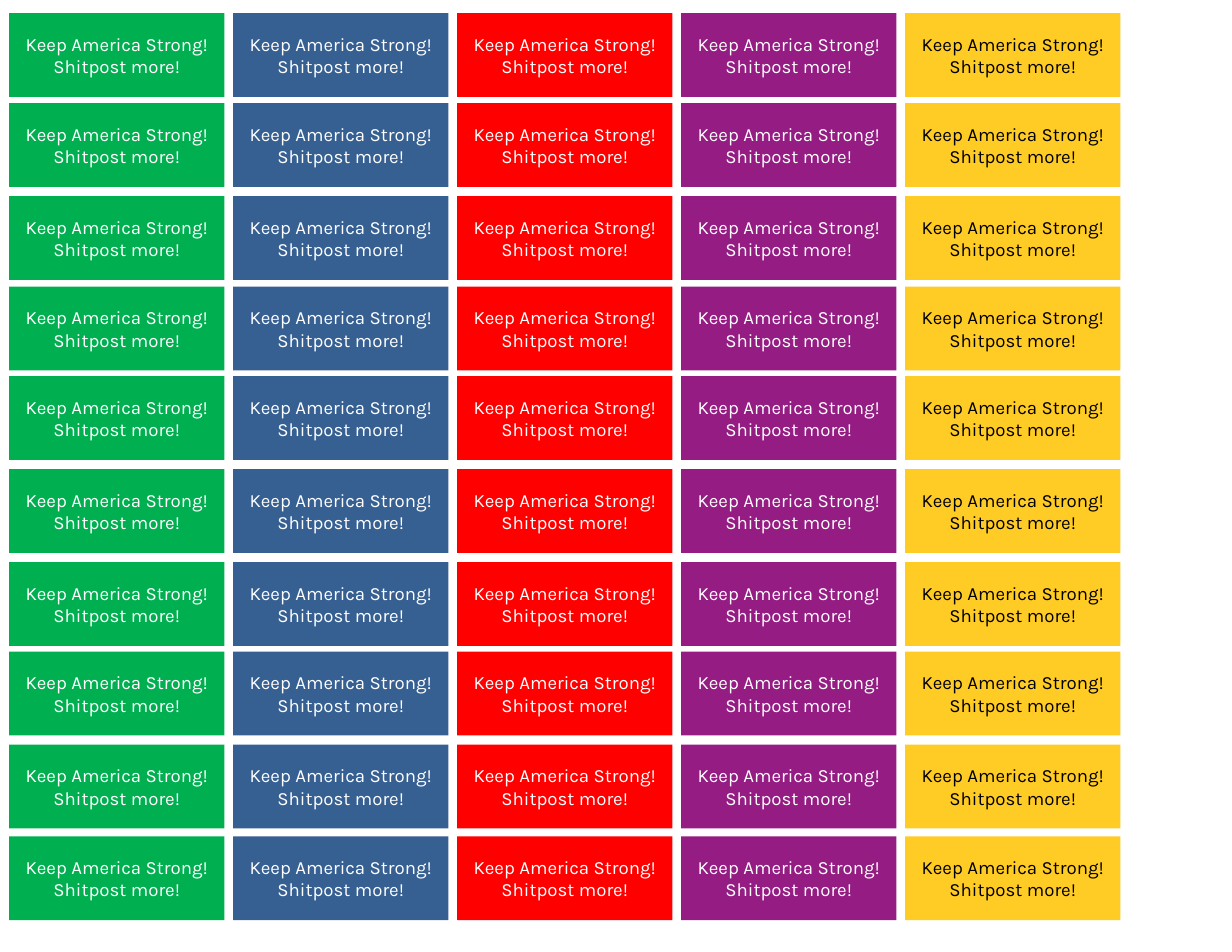
from dataclasses import dataclass

from pptx import Presentation
from pptx.dml.color import RGBColor as RGB
from pptx.enum.shapes import MSO_SHAPE as Shape
from pptx.enum.text import MSO_ANCHOR as Anchor, PP_ALIGN as Align
from pptx.util import Cm, Pt


@dataclass(frozen=True)
class Theme:
    font: str = "Karla"
    size: int = 12
    white: str = "FFFFFF"
    black: str = "000000"
    green: str = "00B050"
    blue: str = "376092"
    red: str = "FF0000"
    purple: str = "941C83"
    yellow: str = "FFCB25"


THEME = Theme()
SLOGAN = "Keep America Strong!\nShitpost more!"

# Sizes in cm; label rows are spaced unevenly, measured from the column top
LEFT, TOP, PITCH = 0.21, 0.3, 5.08
WIDTH, HEIGHT = 4.88, 1.9
ROWS = (0, 2.04, 4.15, 6.2, 8.23, 10.34, 12.45, 14.48, 16.59, 18.67)


def add_label(slide, box, fill, ink):
    """Place one label in box (left, top, width, height)."""
    label = slide.shapes.add_shape(Shape.RECTANGLE, *map(Cm, box))
    label.shadow.inherit = False
    label.fill.solid()
    label.fill.fore_color.rgb = RGB.from_string(fill)
    label.line.fill.background()

    frame = label.text_frame
    frame.text = SLOGAN
    frame.word_wrap = True
    frame.vertical_anchor = Anchor.MIDDLE
    for para in frame.paragraphs:
        para.alignment = Align.CENTER
        for run in para.runs:
            run.font.name = THEME.font
            run.font.size = Pt(THEME.size)
            run.font.color.rgb = RGB.from_string(ink)


def add_column(slide, box, fill, ink):
    """Fill box with a stack of labels in one colour."""
    left, top, width, _ = box
    for row in ROWS:
        add_label(slide, (left, top + row, width, HEIGHT), fill, ink)


def main():
    deck = Presentation()
    deck.slide_width, deck.slide_height = Cm(27.94), Cm(21.59)
    slide = deck.slides.add_slide(deck.slide_layouts[6])

    # One column per colour
    columns = (
        (THEME.green, THEME.white),
        (THEME.blue, THEME.white),
        (THEME.red, THEME.white),
        (THEME.purple, THEME.white),
        (THEME.yellow, THEME.black),
    )
    for i, (fill, ink) in enumerate(columns):
        box = (LEFT + i * PITCH, TOP, WIDTH, ROWS[-1] + HEIGHT)
        add_column(slide, box, fill, ink)

    deck.save("out.pptx")


if __name__ == "__main__":
    main()
